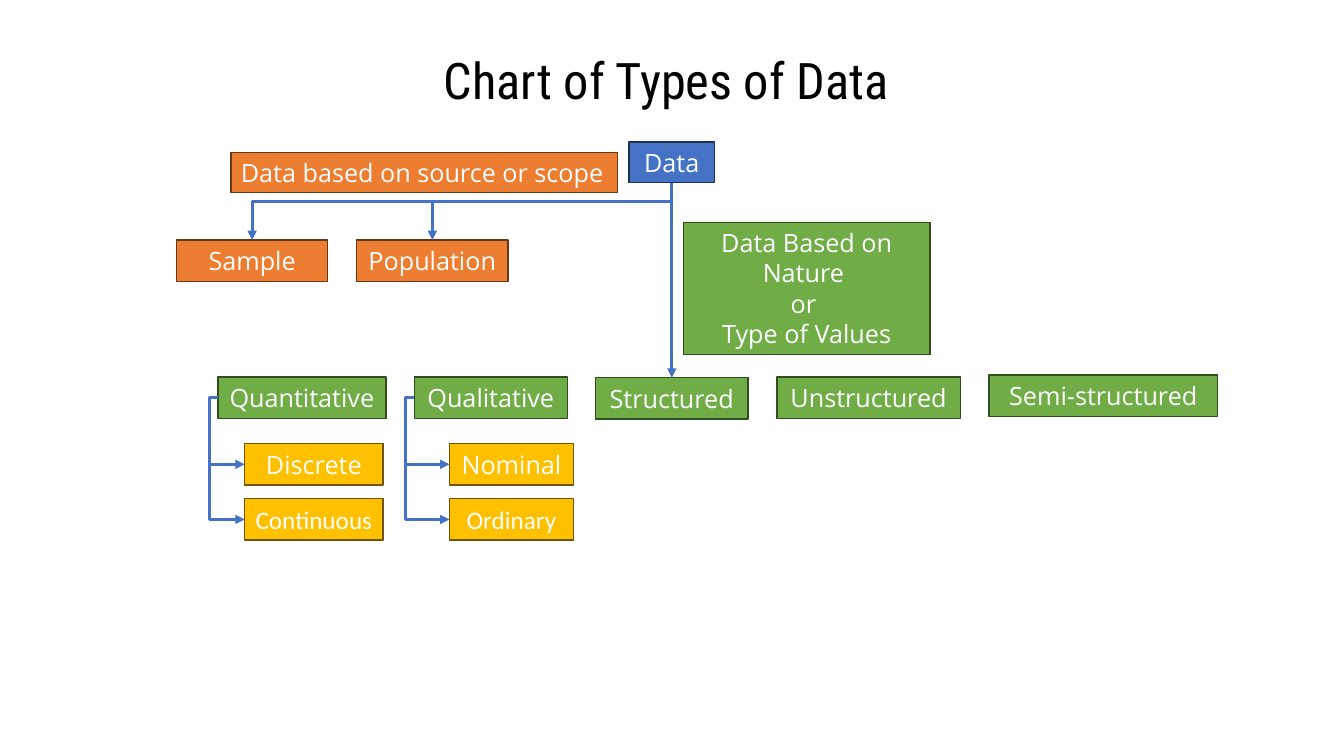
from lxml import etree
from pptx import Presentation
from pptx.dml import color
from pptx.enum import shapes, text
from pptx.oxml import ns
from pptx.util import Cm, Pt

BLUE, ORANGE, GREEN, YELLOW = "4472C4", "ED7D31", "70AD47", "FFC000"
OUTLINES = {BLUE: "1E3256", ORANGE: "683715", GREEN: "314C1F", YELLOW: "705400"}
TITLE = "Chart of Types of Data "
SCOPE = "Data based on source or scope"
NATURE = "Data Based on Nature \nor \nType of Values"
ROW = 1.04  # height of a one-line box

# label: (left, top, width, height, fill), in centimetres
BOXES = {
    "Data": (15.85, 3.58, 2.16, 1.02, BLUE),
    "Sample": (4.45, 6.05, 3.81, ROW, ORANGE),
    "Population": (8.99, 6.05, 3.81, ROW, ORANGE),
    "Quantitative": (5.49, 9.5, 4.24, ROW, GREEN),
    "Qualitative": (10.44, 9.5, 3.86, ROW, GREEN),
    "Structured": (15.01, 9.52, 3.84, ROW, GREEN),
    "Unstructured": (19.58, 9.5, 4.62, ROW, GREEN),
    "Semi-structured": (24.92, 9.45, 5.77, ROW, GREEN),
    SCOPE: (5.82, 3.84, 9.75, 1.02, ORANGE),
    NATURE: (17.22, 5.61, 6.22, 3.33, GREEN),
    "Discrete": (6.17, 11.18, 3.48, ROW, YELLOW),
    "Continuous": (6.17, 12.57, 3.48, ROW, YELLOW),
    "Nominal": (11.33, 11.18, 3.12, ROW, YELLOW),
    "Ordinary": (11.33, 12.57, 3.12, ROW, YELLOW),
}
CALIBRI_LABELS = ("Continuous", "Ordinary")
BRANCHES = [("Quantitative", "Discrete", "Continuous"),
            ("Qualitative", "Nominal", "Ordinary")]
BUS_Y = 5.08      # horizontal line above Sample and Population
SPINE_GAP = 0.22  # distance of a vertical line from its parent box
TOP, LEFT, BOTTOM = 0, 1, 2

deck = Presentation()
deck.slide_width, deck.slide_height = Cm(33.87), Cm(19.05)
page = deck.slides.add_slide(deck.slide_layouts[6])


def rgb(value):
    return color.RGBColor.from_string(value)


def write(shape, content, font="Open Sans", size=18, ink="FFFFFF",
          align=text.PP_ALIGN.CENTER, anchor=text.MSO_ANCHOR.MIDDLE, wrap=True):
    frame = shape.text_frame
    frame.word_wrap = wrap
    frame.vertical_anchor = anchor
    for number, line in enumerate(content.split("\n")):
        para = frame.add_paragraph() if number else frame.paragraphs[0]
        para.alignment = align
        span = para.add_run()
        span.text = line
        span.font.name, span.font.size = font, Pt(size)
        span.font.color.rgb = rgb(ink)


def add_box(label, left, top, width, height, fill):
    box = page.shapes.add_shape(shapes.MSO_SHAPE.RECTANGLE,
                                Cm(left), Cm(top), Cm(width), Cm(height))
    box.shadow.inherit = False
    box.fill.solid()
    box.fill.fore_color.rgb = rgb(fill)
    box.line.color.rgb = rgb(OUTLINES[fill])
    box.line.width = Pt(1)
    if label == SCOPE:
        write(box, label, align=text.PP_ALIGN.LEFT,
              anchor=text.MSO_ANCHOR.TOP, wrap=False)
    elif label == NATURE:
        write(box, label, anchor=text.MSO_ANCHOR.TOP)
    else:
        write(box, label, font="Calibri" if label in CALIBRI_LABELS else "Open Sans")
    return box


def side_point(label, side):
    left, top, width, height, _ = BOXES[label]
    return {TOP: (left + width / 2, top),
            LEFT: (left, top + height / 2),
            BOTTOM: (left + width / 2, top + height)}[side]


def add_arrow(start, target, side, source=None, preset="line", bend=None):
    """Draw an arrow from a point to a box side; source is a (label, side) to join."""
    kind = shapes.MSO_CONNECTOR.STRAIGHT if preset == "line" else shapes.MSO_CONNECTOR.ELBOW
    end = side_point(target, side)
    arrow = page.shapes.add_connector(kind, *(Cm(n) for n in (*start, *end)))
    if source:
        arrow.begin_connect(boxes[source[0]], source[1])
    arrow.end_connect(boxes[target], side)
    arrow.line.color.rgb = rgb(BLUE)
    arrow.line.width = Pt(2.25)
    properties = arrow.line._get_or_add_ln()
    etree.SubElement(properties, ns.qn("a:tailEnd"), type="triangle")
    etree.SubElement(arrow._element.spPr, ns.qn("a:effectLst"))
    geometry = arrow._element.spPr.find(ns.qn("a:prstGeom"))
    geometry.set("prst", preset)
    if bend is not None:
        ratio = round((bend - start[0]) / (end[0] - start[0]) * 100000)
        guides = geometry.find(ns.qn("a:avLst"))
        etree.SubElement(guides, ns.qn("a:gd"), name="adj1", fmla=f"val {ratio}")


title = page.shapes.add_textbox(Cm(4.45), Cm(1.12), Cm(24.99), Cm(1.8))
write(title, TITLE, font="Roboto Condensed", size=36, ink="000000",
      anchor=text.MSO_ANCHOR.TOP)

boxes = {label: add_box(label, *place) for label, place in BOXES.items()}

trunk = side_point("Data", BOTTOM)
add_arrow(trunk, "Structured", TOP, source=("Data", BOTTOM))
add_arrow((trunk[0], BUS_Y), "Sample", TOP, preset="bentConnector2")
add_arrow((side_point("Population", TOP)[0], BUS_Y), "Population", TOP)

for parent, upper, lower in BRANCHES:
    start = side_point(parent, LEFT)
    spine = start[0] - SPINE_GAP
    add_arrow(start, lower, LEFT, source=(parent, LEFT),
              preset="bentConnector3", bend=spine)
    add_arrow((spine, side_point(upper, LEFT)[1]), upper, LEFT)

deck.save("out.pptx")
